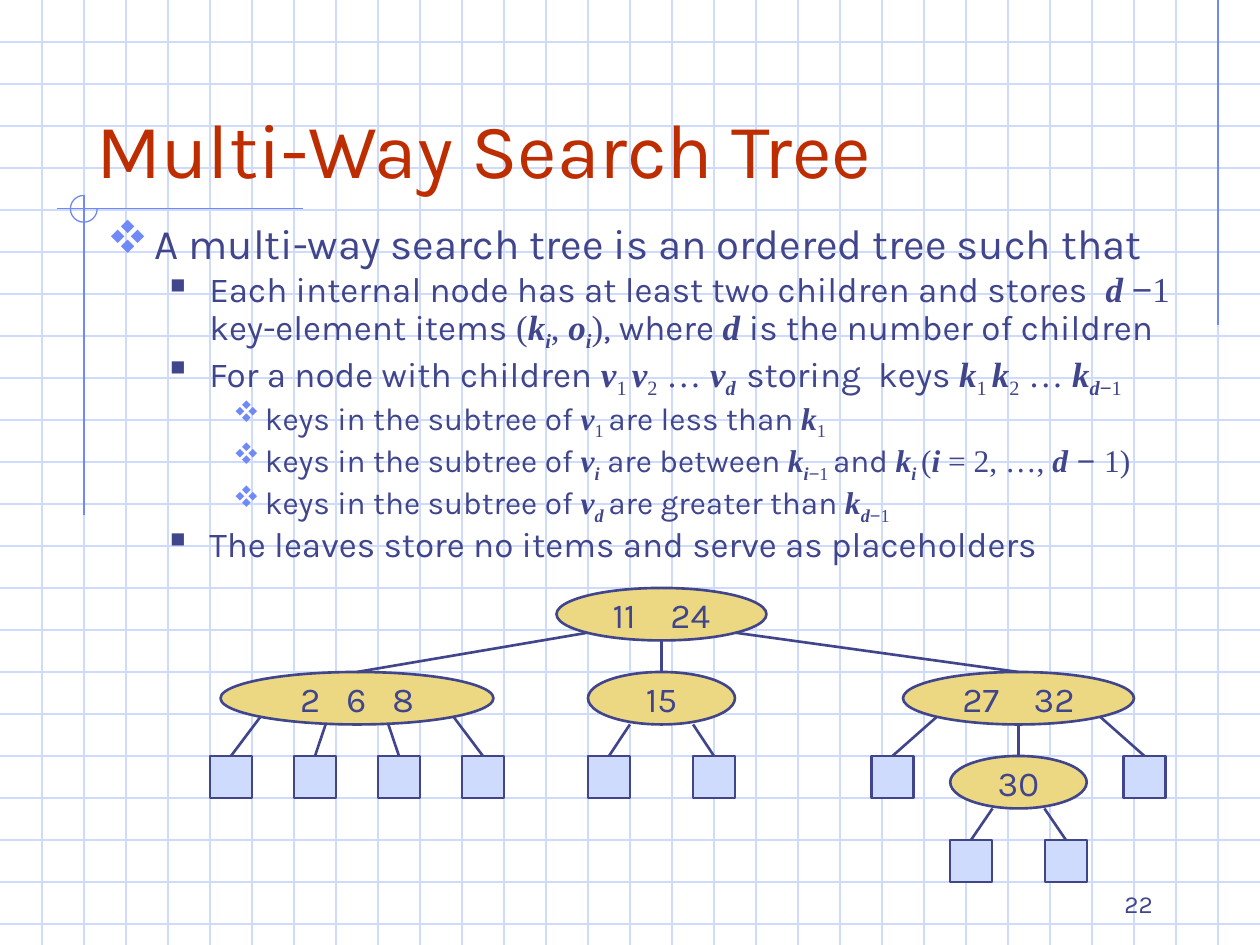
import math
from lxml import etree
from pptx import Presentation
from pptx import util as u
from pptx.dml import color
from pptx.enum import shapes, text
from pptx.oxml import ns

GRID = 2.54 / 3  # ruled paper squares, in cm
INK, ACCENT, RULE = "40458C", "6F89F7", "CFDBFD"
RED, GOLD = "BE2D00", "ECD882"
DIAMOND, SQUARE = "v", "n"  # bullet letters in Wingdings

# Run formats for the mathematics in the text
VAR = dict(font="Times New Roman", bold=True, italic=True)
VAR_SUB = dict(VAR, baseline=-25)
ROMAN = dict(font="Times New Roman")
SUB = dict(ROMAN, baseline=-25)
SIGN = dict(font="Arial")
SIGN_SUB = dict(SIGN, baseline=-25)
WIDE = dict(spacing=5)

# Level: size, left margin, hanging indent (cm), space before, bullet, its colour, its size
LEVELS = [
    (24, 0.95, 0.95, 6, DIAMOND, ACCENT, 110),
    (20, 2.06, 0.79, 5, SQUARE, INK, 60),
    (18, 3.18, 0.64, 4.5, DIAMOND, ACCENT, 95),
]
SUBTREE = ("keys in the subtree of ", {})
BULLETS = [
    (0, [("A multi-way search tree is an ordered tree such that", {})]),
    (1, [("Each internal node has at least two children and stores", {}), (" ", WIDE),
         ("d ", VAR), ("−", SIGN), ("1 ", ROMAN), ("key-element items ", {}), ("(", ROMAN),
         ("k", VAR), ("i", VAR_SUB), (", ", ROMAN), ("o", VAR), ("i", VAR_SUB), (")", ROMAN),
         (", where ", {}), ("d ", VAR), ("is the number of children", {})]),
    (1, [("For a node with children ", {}), ("v", VAR), ("1 ", SUB), ("v", VAR), ("2", SUB),
         (" … ", ROMAN), ("v", VAR), ("d", VAR_SUB), (" ", dict(VAR_SUB, spacing=3)),
         ("storing", {}), (" ", WIDE), ("keys ", {}), ("k", VAR), ("1 ", SUB), ("k", VAR),
         ("2", SUB), (" … ", ROMAN), ("k", VAR), ("d", VAR_SUB), ("−", SIGN_SUB), ("1", SUB)]),
    (2, [SUBTREE, ("v", VAR), ("1 ", SUB), ("are less than ", {}), ("k", VAR), ("1", SUB)]),
    (2, [SUBTREE, ("v", VAR), ("i", VAR_SUB), (" are between ", {}), ("k", VAR),
         ("i", VAR_SUB), ("−", SIGN_SUB), ("1 ", SUB), ("and ", {}), ("k", VAR),
         ("i ", VAR_SUB), ("(", ROMAN), ("i", VAR), (" = 2, …, ", ROMAN), ("d", VAR),
         (" − ", SIGN), ("1)", ROMAN)]),
    (2, [SUBTREE, ("v", VAR), ("d ", VAR_SUB), ("are greater than ", {}), ("k", VAR),
         ("d", VAR_SUB), ("−", SIGN_SUB), ("1", SUB)]),
    (1, [("The leaves store no items and serve as placeholders", {})]),
]

# Node: keys, gap between keys (pt), centre, width, children as (attachment, child).
# Lengths are grid squares; attachment is a share of the half width; a number is a leaf centre.
DIAGONAL = math.sqrt(0.5)
TREE = (["11", "24"], 15, 10.75, 5, [
    (-DIAGONAL, (["2", "6", "8"], 10, 3.5, 6.5,
                 [(-DIAGONAL, 0.5), (-0.23, 2.5), (0.23, 4.5), (DIAGONAL, 6.5)])),
    (0, (["15"], 0, 10.75, 3.5, [(-0.43, 9.5), (0.43, 12)])),
    (DIAGONAL, (["27", "32"], 15, 19.25, 5.5, [
        (-DIAGONAL, 16.25),
        (0, (["30"], 0, 19.25, 3.25, [(-0.38, 18.12), (0.38, 20.38)])),
        (DIAGONAL, 22.25)])),
])


def rgb(value):
    return color.RGBColor.from_string(value)


def add_run(paragraph, words, size=20, font="Karla", ink=INK, bold=False, italic=False,
            baseline=0, spacing=0):
    run = paragraph.add_run()
    run.text = words
    run.font.size, run.font.name = u.Pt(size), font
    run.font.bold, run.font.italic = bold, italic
    run.font.color.rgb = rgb(ink)
    properties = run._r.get_or_add_rPr()
    if baseline:
        properties.set("baseline", str(baseline * 1000))
    if spacing:
        properties.set("spc", str(spacing * 100))


def add_line(slide, x1, y1, x2, y2, ink, width=0.75):
    line = slide.shapes.add_connector(shapes.MSO_CONNECTOR.STRAIGHT,
                                      u.Cm(x1), u.Cm(y1), u.Cm(x2), u.Cm(y2))
    line.line.color.rgb, line.line.width = rgb(ink), u.Pt(width)
    etree.SubElement(line._element.spPr, ns.qn("a:effectLst"))


def add_figure(slide, kind, left, top, width, height, fill=None, ink=INK, weight=1.5):
    shape = slide.shapes.add_shape(kind, u.Cm(left), u.Cm(top), u.Cm(width), u.Cm(height))
    shape.shadow.inherit = False
    if fill:
        shape.fill.solid()
        shape.fill.fore_color.rgb = rgb(fill)
    else:
        shape.fill.background()
    shape.line.color.rgb, shape.line.width = rgb(ink), u.Pt(weight)
    return shape


def add_frame(slide, left, top, width, height, anchor=text.MSO_ANCHOR.TOP):
    frame = slide.shapes.add_textbox(u.Cm(left), u.Cm(top), u.Cm(width), u.Cm(height)).text_frame
    frame.word_wrap, frame.vertical_anchor = True, anchor
    return frame


def add_bullet(paragraph, character, ink, percent):
    properties = paragraph._p.get_or_add_pPr()
    colour = etree.SubElement(properties, ns.qn("a:buClr"))
    etree.SubElement(colour, ns.qn("a:srgbClr"), val=ink)
    etree.SubElement(properties, ns.qn("a:buSzPct"), val=str(percent * 1000))
    etree.SubElement(properties, ns.qn("a:buFont"), typeface="Wingdings", charset="2")
    etree.SubElement(properties, ns.qn("a:buChar"), char=character)


def draw_paper(slide, left, top, width, height):
    # Ruled squares
    for row in range(1, math.ceil(height / GRID)):
        add_line(slide, left, top + row * GRID, left + width, top + row * GRID, RULE)
    for column in range(1, round(width / GRID)):
        add_line(slide, left + column * GRID, top, left + column * GRID, top + height, RULE)
    # Accent lines and the open circle where two of them cross
    add_line(slide, left + 29 * GRID, top, left + 29 * GRID, top + 6.55, ACCENT)
    add_line(slide, left + 1.14, top + 4.21, left + 6.1, top + 4.21, ACCENT)
    add_line(slide, left + 2 * GRID, top + 3.94, left + 2 * GRID, top + 10.39, ACCENT)
    circle = add_figure(slide, shapes.MSO_SHAPE.ARC, left + 1.42, top + 3.94, 0.54, 0.54,
                        ink=ACCENT, weight=0.75)
    circle.adjustments[0] = 0
    circle.adjustments[1] = 162  # 270 degrees


def draw_title(slide, left, top, width, height):
    frame = add_frame(slide, left, top, width, height, text.MSO_ANCHOR.BOTTOM)
    add_run(frame.paragraphs[0], "Multi-Way Search Tree", size=44, ink=RED)


def draw_bullets(slide, left, top, width, height):
    frame = add_frame(slide, left, top, width, height)
    for index, (level, runs) in enumerate(BULLETS):
        size, margin, hanging, before, character, ink, percent = LEVELS[level]
        paragraph = frame.add_paragraph() if index else frame.paragraphs[0]
        paragraph.level, paragraph.line_spacing = level, 0.8
        paragraph.space_before = u.Pt(before if index else 0)
        properties = paragraph._p.get_or_add_pPr()
        properties.set("marL", str(u.Cm(margin)))
        properties.set("indent", str(-u.Cm(hanging)))
        add_bullet(paragraph, character, ink, percent)
        for words, style in runs:
            add_run(paragraph, words, size=size, **style)


def draw_tree(slide, left, top, node):
    keys, gap, centre, node_width, children = node
    middle, width, height = left + centre * GRID, node_width * GRID, 1.25 * GRID
    child_top = top + 2 * GRID
    # Node with its keys
    ellipse = add_figure(slide, shapes.MSO_SHAPE.OVAL, middle - width / 2, top, width, height, GOLD)
    frame = ellipse.text_frame
    frame.word_wrap, frame.vertical_anchor = False, text.MSO_ANCHOR.MIDDLE
    paragraph = frame.paragraphs[0]
    paragraph.alignment = text.PP_ALIGN.CENTER
    for index, key in enumerate(keys):
        if index:
            add_run(paragraph, " ", spacing=gap)
        add_run(paragraph, key)
    # Edges and children
    for attachment, child in children:
        is_leaf = not isinstance(child, tuple)
        child_middle = left + (child if is_leaf else child[2]) * GRID
        drop = (1 + DIAGONAL) / 2 if abs(attachment) == DIAGONAL else 1
        if is_leaf:
            add_figure(slide, shapes.MSO_SHAPE.RECTANGLE, child_middle - GRID / 2, child_top,
                       GRID, GRID, RULE)
        else:
            draw_tree(slide, left, child_top, child)
        add_line(slide, middle + attachment * width / 2, top + drop * height,
                 child_middle, child_top, INK, 1.5)


def draw_page_number(slide, left, top, width, height):
    frame = add_frame(slide, left, top, width, height, text.MSO_ANCHOR.BOTTOM)
    frame.paragraphs[0].alignment = text.PP_ALIGN.RIGHT
    add_run(frame.paragraphs[0], "22", size=14)


def main():
    presentation = Presentation()
    presentation.slide_width, presentation.slide_height = u.Cm(25.4), u.Cm(19.05)
    slide = presentation.slides.add_slide(presentation.slide_layouts[6])
    draw_paper(slide, 0, 0, 25.4, 19.05)
    draw_title(slide, 1.69, 0.85, 21.59, 3.18)
    draw_bullets(slide, 1.91, 4.45, 22.43, 7.62)
    draw_tree(slide, 5 * GRID, 14 * GRID, TREE)
    draw_page_number(slide, 18.2, 17.36, 5.29, 1.27)
    presentation.save("out.pptx")


if __name__ == "__main__":
    main()
